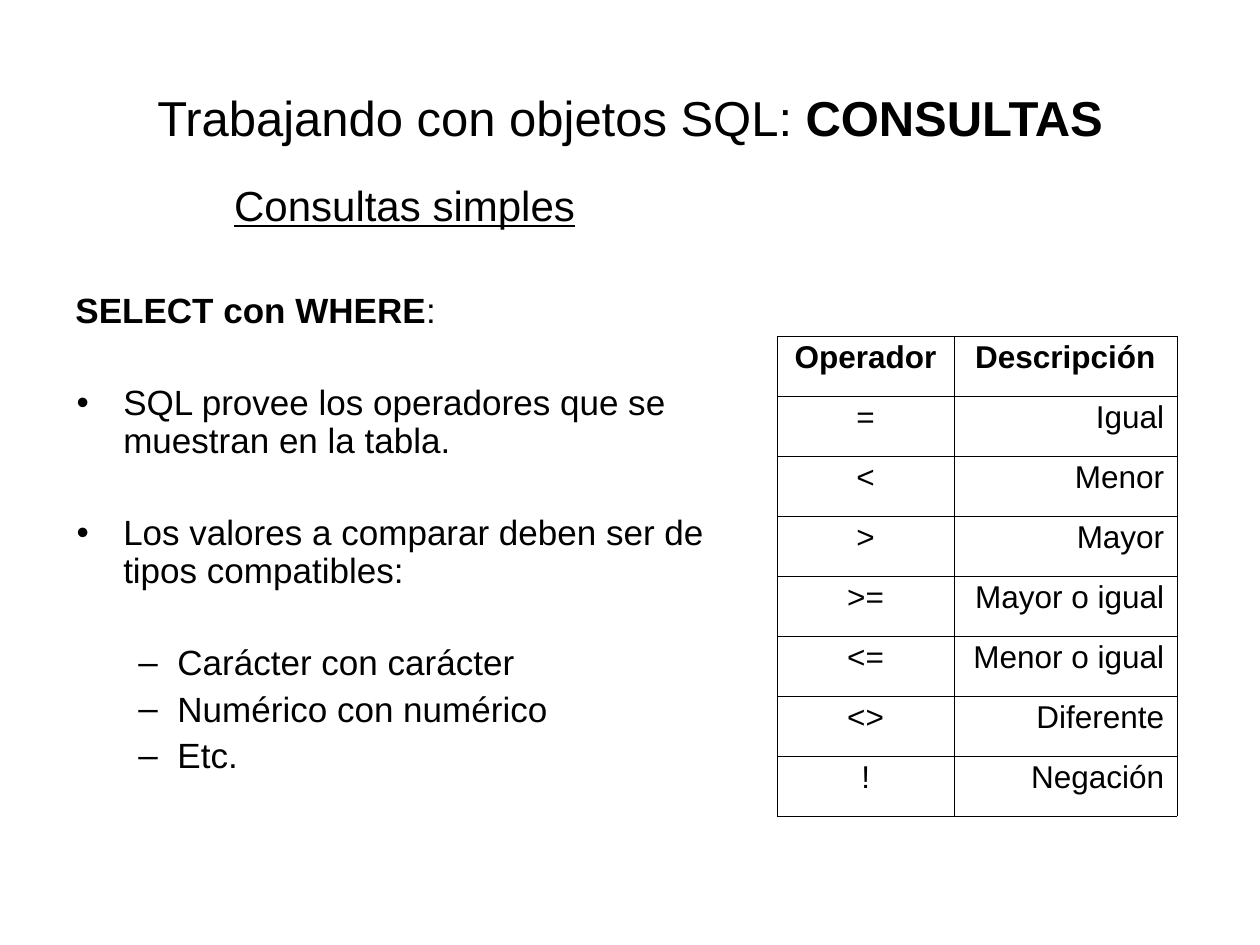
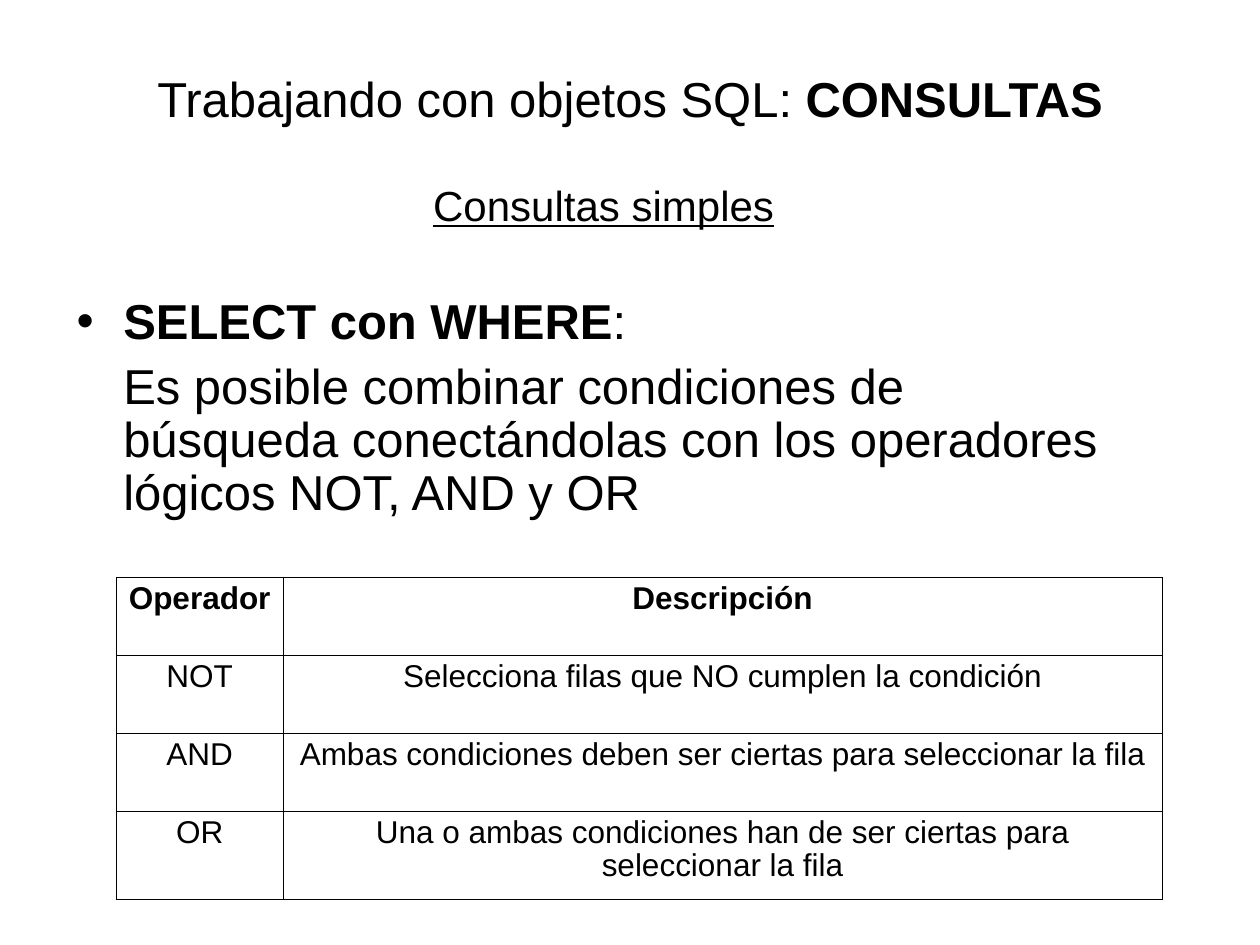
from dataclasses import dataclass

from lxml import etree
from pptx import Presentation
from pptx.dml.color import RGBColor
from pptx.enum.text import MSO_ANCHOR, PP_ALIGN
from pptx.oxml.ns import qn
from pptx.slide import Slide
from pptx.text.text import TextFrame
from pptx.util import Inches, Pt

LEFT, CENTER, RIGHT = PP_ALIGN.LEFT, PP_ALIGN.CENTER, PP_ALIGN.RIGHT
TOP, MIDDLE = MSO_ANCHOR.TOP, MSO_ANCHOR.MIDDLE


@dataclass(frozen=True)
class Theme:
    font: str = "Arial"
    ink: str = "000000"
    title: float = 28
    subtitle: float = 24
    large: float = 28
    body: float = 20
    cell: float = 18
    border: float = 0.11
    body_spacing: float = 0.9
    cell_spacing: float = 0.93


THEME = Theme()


@dataclass(frozen=True)
class Area:
    left: float
    top: float
    width: float
    height: float


@dataclass(frozen=True)
class Line:
    text: str
    bold_text: str = ""
    size: float = THEME.body
    before: float = 5
    align: PP_ALIGN = LEFT
    underline: bool = False
    margin: float = 0
    hanging: float = 0
    bullet: str = ""


@dataclass(frozen=True)
class Grid:
    left: float
    top: float
    columns: tuple[float, ...]
    heights: tuple[float, ...]
    rows: tuple[tuple[str, str], ...]
    description_align: PP_ALIGN


@dataclass(frozen=True)
class Page:
    title_height: float
    body_area: Area
    lines: tuple[Line, ...]
    grid: Grid


HEADER = ("Operador", "Descripción")
SUBTITLE = Line("Consultas simples", size=THEME.subtitle, before=6,
                align=CENTER, underline=True)


def point(text: str, before: float = 31) -> Line:
    return Line(text, before=before, margin=0.38, hanging=0.37, bullet="•")


def subpoint(text: str, before: float = 5) -> Line:
    return Line(text, before=before, margin=0.81, hanging=0.31, bullet="–")


PAGES = (
    Page(
        1.25,
        Area(0.5, 1.42, 5.42, 5.5),
        (
            SUBTITLE,
            Line(":", bold_text="SELECT con WHERE", before=36),
            point("SQL provee los operadores que se muestran en la tabla."),
            point("Los valores a comparar deben ser de tipos compatibles:"),
            subpoint("Carácter con carácter", before=31),
            subpoint("Numérico con numérico"),
            subpoint("Etc."),
        ),
        Grid(
            6.17, 2.67, (1.4, 1.77), (3.81 / 8,) * 8,
            (
                HEADER,
                ("=", "Igual"),
                ("<", "Menor"),
                (">", "Mayor"),
                (">=", "Mayor o igual"),
                ("<=", "Menor o igual"),
                ("<>", "Diferente"),
                ("!", "Negación"),
            ),
            RIGHT,
        ),
    ),
    Page(
        0.95,
        Area(0.5, 1.42, 8.58, 3.3),
        (
            SUBTITLE,
            Line(":", bold_text="SELECT con WHERE", size=THEME.large,
                 before=38, margin=0.38, hanging=0.37, bullet="•"),
            Line("Es posible combinar condiciones de búsqueda conectándolas "
                 "con los operadores lógicos NOT, AND y OR",
                 size=THEME.large, before=7, margin=0.38),
        ),
        Grid(
            0.92, 4.58, (1.33, 6.97), (0.62, 0.62, 0.62, 0.7),
            (
                HEADER,
                ("NOT", "Selecciona filas que NO cumplen la condición"),
                ("AND", "Ambas condiciones deben ser ciertas para seleccionar la fila"),
                ("OR", "Una o ambas condiciones han de ser ciertas para seleccionar la fila"),
            ),
            CENTER,
        ),
    ),
)


def add_span(para, text: str, *, size: float, bold: bool = False,
             underline: bool = False) -> None:
    span = para.add_run()
    span.text = text
    span.font.name = THEME.font
    span.font.size = Pt(size)
    span.font.bold = bold
    span.font.underline = underline
    span.font.color.rgb = RGBColor.from_string(THEME.ink)


def add_frame(page: Slide, area: Area, *, anchor: MSO_ANCHOR = TOP) -> TextFrame:
    box = page.shapes.add_textbox(Inches(area.left), Inches(area.top),
                                  Inches(area.width), Inches(area.height))
    frame = box.text_frame
    frame.word_wrap = True
    frame.vertical_anchor = anchor
    return frame


def add_title(page: Slide, height: float) -> None:
    frame = add_frame(page, Area(0.5, 0.3, 9, height), anchor=MIDDLE)
    para = frame.paragraphs[0]
    para.alignment = CENTER
    add_span(para, "Trabajando con objetos SQL: ", size=THEME.title)
    add_span(para, "CONSULTAS", size=THEME.title, bold=True)


def add_body(page: Slide, area: Area, lines: tuple[Line, ...]) -> None:
    frame = add_frame(page, area)
    for index, line in enumerate(lines):
        para = frame.add_paragraph() if index else frame.paragraphs[0]
        para.alignment = line.align
        para.line_spacing = THEME.body_spacing
        para.space_before = Pt(line.before)
        properties = para._p.get_or_add_pPr()
        properties.set("marL", str(Inches(line.margin)))
        properties.set("indent", str(-Inches(line.hanging)))
        if line.bullet:
            color = etree.SubElement(properties, qn("a:buClr"))
            etree.SubElement(color, qn("a:srgbClr"), val=THEME.ink)
            etree.SubElement(properties, qn("a:buFont"), typeface=THEME.font)
            etree.SubElement(properties, qn("a:buChar"), char=line.bullet)
        if line.bold_text:
            add_span(para, line.bold_text, size=line.size, bold=True)
        add_span(para, line.text, size=line.size, underline=line.underline)


def style_cell(cell) -> None:
    properties = cell._tc.get_or_add_tcPr()
    for side in ("lnL", "lnR", "lnT", "lnB"):
        border = etree.SubElement(properties, qn(f"a:{side}"),
                                  w=str(Pt(THEME.border)))
        fill = etree.SubElement(border, qn("a:solidFill"))
        etree.SubElement(fill, qn("a:srgbClr"), val=THEME.ink)
    cell.fill.background()


def add_grid(page: Slide, grid: Grid) -> None:
    frame = page.shapes.add_table(
        len(grid.rows), len(grid.columns), Inches(grid.left), Inches(grid.top),
        Inches(sum(grid.columns)), Inches(sum(grid.heights)))
    table = frame.table
    table.first_row = False
    table.horz_banding = False
    for column, width in zip(table.columns, grid.columns):
        column.width = Inches(width)
    for row, height in zip(table.rows, grid.heights):
        row.height = Inches(height)
    for row_index, texts in enumerate(grid.rows):
        is_header = row_index == 0
        for column_index, text in enumerate(texts):
            cell = table.cell(row_index, column_index)
            style_cell(cell)
            para = cell.text_frame.paragraphs[0]
            is_description = column_index == 1 and not is_header
            para.alignment = grid.description_align if is_description else CENTER
            para.line_spacing = THEME.cell_spacing
            add_span(para, text, size=THEME.cell, bold=is_header)


def main() -> None:
    deck = Presentation()
    deck.slide_width = Inches(10)
    deck.slide_height = Inches(7.5)
    for content in PAGES:
        page = deck.slides.add_slide(deck.slide_layouts[6])
        add_title(page, content.title_height)
        add_body(page, content.body_area, content.lines)
        add_grid(page, content.grid)
    deck.save("out.pptx")


if __name__ == "__main__":
    main()
